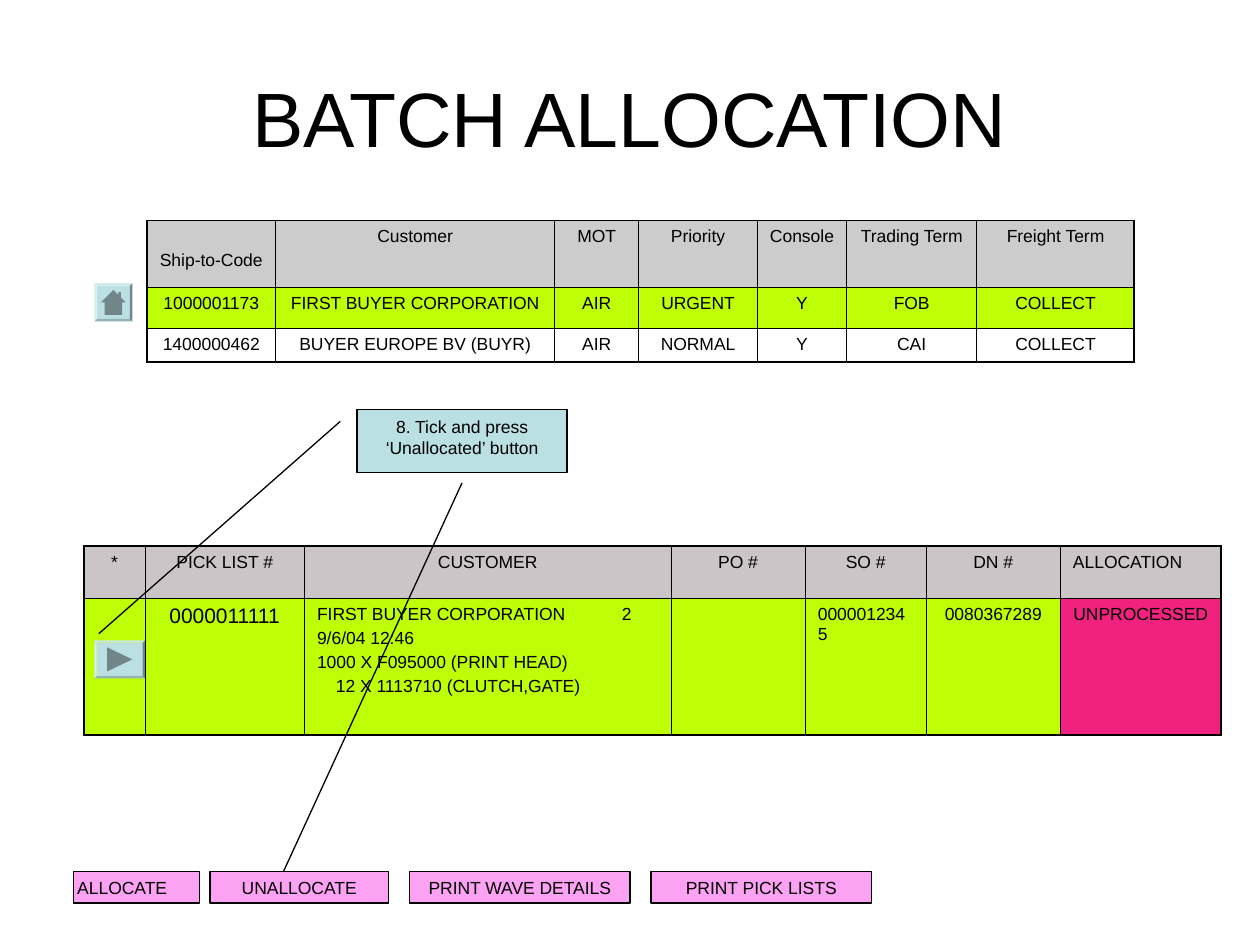
from lxml import etree
from pptx import Presentation
from pptx.dml.color import RGBColor
from pptx.enum.shapes import MSO_CONNECTOR, MSO_SHAPE
from pptx.enum.text import MSO_ANCHOR, PP_ALIGN
from pptx.oxml.ns import qn
from pptx.util import Emu, Inches, Pt

BLACK = RGBColor(0x00, 0x00, 0x00)
GREY = RGBColor(0xCC, 0xCC, 0xCC)
ROSE_GREY = RGBColor(0xCB, 0xC5, 0xC7)
LIME = RGBColor(0xBE, 0xFF, 0x07)
WHITE = RGBColor(0xFF, 0xFF, 0xFF)
CRIMSON = RGBColor(0xF1, 0x21, 0x7F)
PINK = RGBColor(0xFC, 0xA2, 0xF3)
PALE_BLUE = RGBColor(0xBB, 0xE0, 0xE3)
SLATE = RGBColor(0x70, 0x86, 0x88)

CENTER, LEFT = PP_ALIGN.CENTER, PP_ALIGN.LEFT
TOP, MIDDLE = MSO_ANCHOR.TOP, MSO_ANCHOR.MIDDLE
RECTANGLE, BEVEL = MSO_SHAPE.RECTANGLE, MSO_SHAPE.BEVEL
CALLOUT = MSO_SHAPE.LINE_CALLOUT_1
STRAIGHT = MSO_CONNECTOR.STRAIGHT

CELL = Inches(1) // 12
COLUMNS, ROWS = 120, 90
FONT = {"name": "Arial", "size": Pt(10)}
OUTER, INNER = Pt(1.08), Pt(0.45)

ORDERS = [
    ["Ship-to-Code", "Customer", "MOT", "Priority", "Console", "Trading Term", "Freight Term"],
    ["1000001173", "FIRST BUYER CORPORATION", "AIR", "URGENT", "Y", "FOB", "COLLECT"],
    ["1400000462", "BUYER EUROPE BV (BUYR)", "AIR", "NORMAL", "Y", "CAI", "COLLECT"],
]
PICK_LISTS = [
    ["*", "PICK LIST #", "CUSTOMER", "PO #", "SO #", "DN #", "ALLOCATION"],
    ["", "0000011111",
     "FIRST BUYER CORPORATION\t2\n9/6/04 12:46\n"
     "1000 X F095000 (PRINT HEAD)\n12 X 1113710 (CLUTCH,GATE)",
     "", "0000012345", "0080367289", "UNPROCESSED"],
]
BUTTONS = [(7, 12, "ALLOCATE"), (20, 17, "UNALLOCATE"),
           (39, 21, "PRINT WAVE DETAILS"), (62, 21, "PRINT PICK LISTS")]
HOUSE = [(0.5, 0.17), (0.63, 0.3), (0.63, 0.23), (0.7, 0.23), (0.7, 0.37), (0.83, 0.5),
         (0.73, 0.5), (0.73, 0.83), (0.27, 0.83), (0.27, 0.5), (0.17, 0.5)]
ARROW = [(0.25, 0.18), (0.75, 0.5), (0.25, 0.82)]


def grid(*cells):
    return [Emu(round(cell * CELL)) for cell in cells]


def apply(target, values):
    for name, value in values.items():
        setattr(target, name, value)


def write(frame, text, align=CENTER, **font):
    for index, line in enumerate(text.split("\n")):
        para = frame.paragraphs[0] if index == 0 else frame.add_paragraph()
        apply(para, {"alignment": align, "space_before": Pt(2.5 if index else 0)})
        span = para.add_run()
        span.text = line
        apply(span.font, {**FONT, **font})
        span.font.color.rgb = BLACK


def add_title(page, text):
    box = page.shapes.add_textbox(*grid(6, 3.6, 108, 15))
    apply(box.text_frame, {"word_wrap": True, "vertical_anchor": MIDDLE})
    write(box.text_frame, text, size=Pt(44))


def add_border(cell, side, width):
    properties = cell._tc.get_or_add_tcPr()
    line = etree.SubElement(properties, qn(f"a:ln{side}"), w=str(int(width)))
    fill = etree.SubElement(line, qn("a:solidFill"))
    etree.SubElement(fill, qn("a:srgbClr"), val=str(BLACK))


def add_grid_table(page, left, top, widths, heights, texts, fills):
    shape = page.shapes.add_table(len(heights), len(widths),
                                  *grid(left, top, sum(widths), sum(heights)))
    table = shape.table
    apply(table, {"first_row": False, "horz_banding": False})
    for column, width in zip(table.columns, grid(*widths)):
        column.width = width
    last_row, last_column = len(heights) - 1, len(widths) - 1
    for i, (row, height) in enumerate(zip(table.rows, grid(*heights))):
        row.height = height
        for j, cell in enumerate(row.cells):
            edges = {"L": j == 0, "R": j == last_column, "T": i == 0, "B": i == last_row}
            for side, outside in edges.items():
                add_border(cell, side, OUTER if outside else INNER)
            cell.fill.solid()
            cell.fill.fore_color.rgb = fills[i]
            if texts[i][j]:
                write(cell.text_frame, texts[i][j])
    return table


def add_orders(page):
    widths = [12.24, 26.6, 8, 11.3, 8.5, 12.4, 15]
    table = add_grid_table(page, 14, 21, widths, [6.4, 3.9, 3.2], ORDERS, [GREY, LIME, WHITE])
    table.cell(0, 0).margin_top = Inches(0.24)


def add_pick_lists(page):
    widths = [5.8, 15.2, 34.9, 12.8, 11.5, 12.8, 15.3]
    table = add_grid_table(page, 8, 52, widths, [5, 13], PICK_LISTS, [ROSE_GREY, LIME])
    for row, column in ((0, 6), (1, 2), (1, 4)):
        for para in table.cell(row, column).text_frame.paragraphs:
            para.alignment = LEFT
    table.cell(1, 1).text_frame.paragraphs[0].runs[0].font.size = Pt(12)
    table.cell(1, 6).fill.fore_color.rgb = CRIMSON
    lines = table.cell(1, 2).text_frame.paragraphs
    stops = etree.SubElement(lines[0]._p.get_or_add_pPr(), qn("a:tabLst"))
    etree.SubElement(stops, qn("a:tab"), pos=str(Inches(2.42)), algn="l")
    lines[-1]._p.get_or_add_pPr().set("marL", str(Inches(0.15)))


def add_filled_shape(page, kind, place, color):
    shape = page.shapes.add_shape(kind, *grid(*place))
    shape.shadow.inherit = False
    shape.fill.solid()
    shape.fill.fore_color.rgb = color
    return shape


def outline(shape):
    shape.line.color.rgb = BLACK
    shape.line.width = Pt(0.75)


def add_button(page, left, width, text):
    button = add_filled_shape(page, RECTANGLE, (left, 83, width, 3), PINK)
    outline(button)
    apply(button.text_frame, {"word_wrap": False, "vertical_anchor": MIDDLE})
    write(button.text_frame, text)
    return button


def add_icon_button(page, left, top, width, height, points):
    button = add_filled_shape(page, BEVEL, (left, top, width, height), PALE_BLUE)
    button.adjustments[0] = 0.06
    button.line.fill.background()
    corners = [grid(left + x * width, top + y * height) for x, y in points]
    builder = page.shapes.build_freeform(*corners[0])
    builder.add_line_segments(corners[1:], close=True)
    icon = builder.convert_to_shape()
    icon.shadow.inherit = False
    icon.fill.solid()
    icon.fill.fore_color.rgb = SLATE
    icon.line.fill.background()


def add_callout(page, text):
    callout = add_filled_shape(page, CALLOUT, (34, 39, 20, 6), PALE_BLUE)
    outline(callout)
    for index, value in enumerate((0.19, -0.08, 3.56, -1.23)):
        callout.adjustments[index] = value
    apply(callout.text_frame, {"word_wrap": True, "vertical_anchor": TOP})
    write(callout.text_frame, text)


def add_pointer(page, start, end):
    pointer = page.shapes.add_connector(STRAIGHT, *grid(*start, *end))
    etree.SubElement(pointer._element.spPr, qn("a:effectLst"))
    outline(pointer)


def main():
    deck = Presentation()
    deck.slide_width, deck.slide_height = grid(COLUMNS, ROWS)
    page = deck.slides.add_slide(deck.slide_layouts[6])
    add_title(page, "BATCH ALLOCATION")
    add_orders(page)
    add_pick_lists(page)
    add_icon_button(page, 9, 27, 3.6, 3.6, HOUSE)
    add_icon_button(page, 9, 61, 4.8, 3.6, ARROW)
    buttons = [add_button(page, *button) for button in BUTTONS]
    buttons[0].text_frame.margin_left = Inches(0.03)
    buttons[0].text_frame.paragraphs[0].alignment = LEFT
    buttons[0].text_frame.word_wrap = True
    add_callout(page, "8. Tick and press ‘Unallocated’ button")
    add_pointer(page, (27, 83), (44, 46))
    deck.save("out.pptx")


if __name__ == "__main__":
    main()
